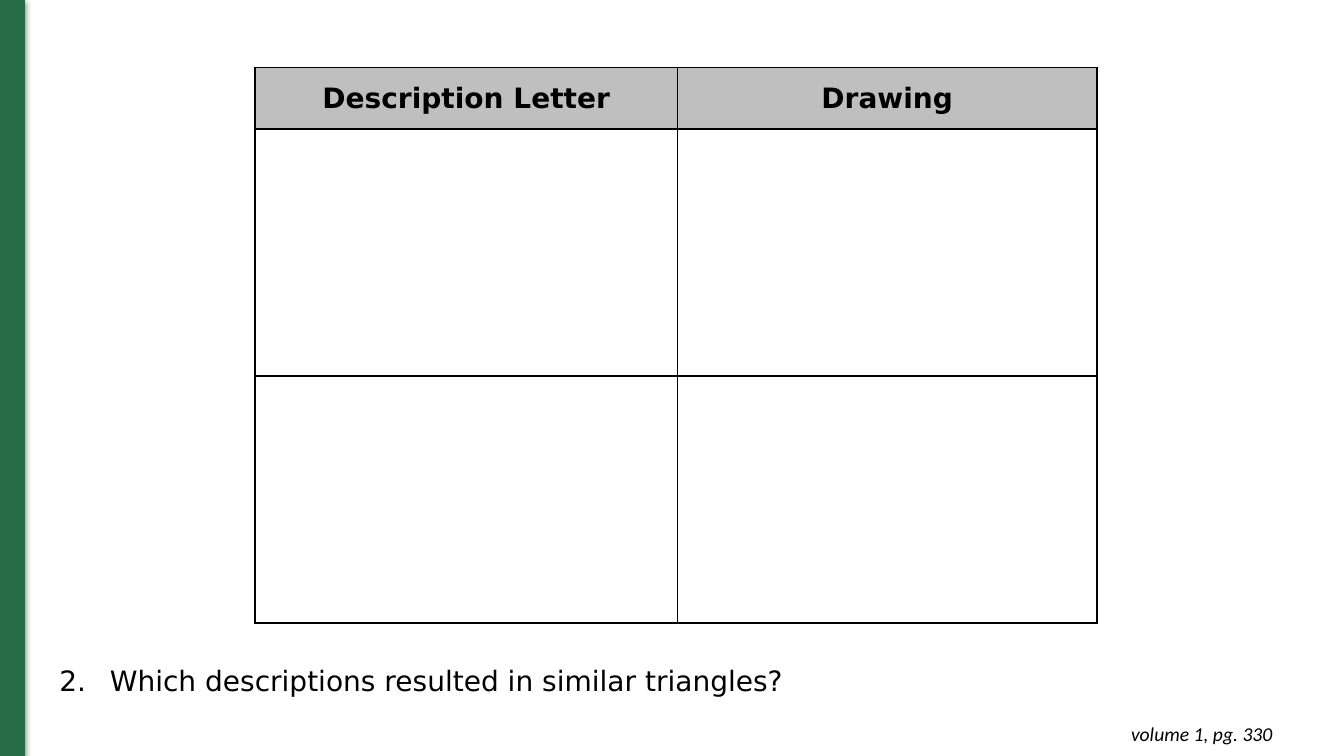
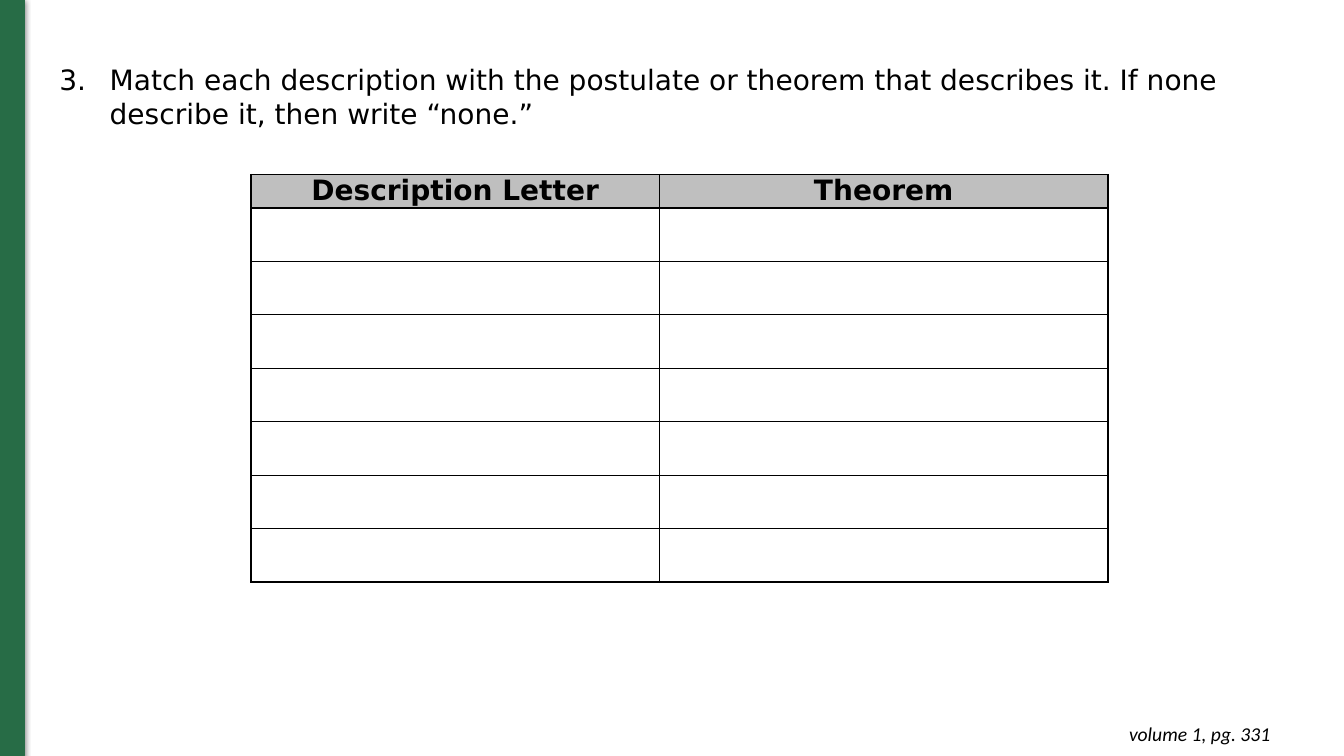
from lxml import etree
from pptx import Presentation
from pptx.dml.color import RGBColor
from pptx.enum.shapes import MSO_SHAPE
from pptx.enum.text import MSO_ANCHOR, PP_ALIGN
from pptx.oxml.ns import qn
from pptx.util import Inches, Pt

GREEN = RGBColor(0x27, 0x6C, 0x46)
BLACK = RGBColor(0x00, 0x00, 0x00)
GRAY = RGBColor(0xBF, 0xBF, 0xBF)
RECTANGLE = MSO_SHAPE.RECTANGLE
MIDDLE, TOP = MSO_ANCHOR.MIDDLE, MSO_ANCHOR.TOP
CENTER, RIGHT = PP_ALIGN.CENTER, PP_ALIGN.RIGHT
BODY_FONT = "DejaVu Sans"
QUESTION_STYLE = {"name": BODY_FONT, "size": Pt(20)}
HEADER_STYLE = {**QUESTION_STYLE, "bold": True}
FOOTER_STYLE = {"name": "Calibri", "size": Pt(14), "italic": True}
SIDES = ("left", "top", "right", "bottom")


def add_xml(parent, tag, **attributes):
    return etree.SubElement(parent, qn(tag), {key: str(value) for key, value in attributes.items()})


def add_text(paragraph, text, style):
    run = paragraph.add_run()
    run.text = text
    for name, value in style.items():
        setattr(run.font, name, value)
    run.font.color.rgb = BLACK


def set_margins(target, margins):
    for side, margin in zip(SIDES, margins):
        setattr(target, f"margin_{side}", Inches(margin))


def add_text_box(slide, box):
    frame = slide.shapes.add_textbox(*map(Inches, box)).text_frame
    frame.word_wrap = True
    return frame


def add_sidebar(slide, box):
    sidebar = slide.shapes.add_shape(RECTANGLE, *map(Inches, box))
    sidebar.fill.solid()
    sidebar.fill.fore_color.rgb = GREEN
    sidebar.line.color.rgb = GREEN
    sidebar.line.width = Pt(0.75)
    sidebar.shadow.inherit = False
    effects = sidebar._element.spPr.find(qn("a:effectLst"))
    shadow = add_xml(effects, "a:outerShdw", blurRad=Pt(4.5), dist=Pt(1.5), dir=5400000, rotWithShape=0)
    color = add_xml(shadow, "a:srgbClr", val=BLACK)
    add_xml(color, "a:alpha", val=50000)


def add_footer(slide, box, page):
    frame = add_text_box(slide, box)
    set_margins(frame, [0.1] * 4)
    paragraph = frame.paragraphs[0]
    paragraph.alignment = RIGHT
    add_text(paragraph, f"volume 1, pg. {page}", FOOTER_STYLE)


def add_question(slide, box, number, text):
    paragraph = add_text_box(slide, box).paragraphs[0]
    properties = paragraph._p.get_or_add_pPr()
    properties.set("marL", str(Inches(0.5)))
    properties.set("indent", str(Inches(-0.5)))
    add_xml(add_xml(properties, "a:buClr"), "a:srgbClr", val=BLACK)
    add_xml(properties, "a:buFont", typeface=BODY_FONT)
    add_xml(properties, "a:buAutoNum", type="arabicPeriod", startAt=number)
    add_text(paragraph, text, QUESTION_STYLE)


def add_borders(cell):
    properties = cell._tc.get_or_add_tcPr()
    for tag in ("a:lnL", "a:lnR", "a:lnT", "a:lnB"):
        line = add_xml(properties, tag, w=Pt(1))
        add_xml(add_xml(line, "a:solidFill"), "a:srgbClr", val=BLACK)


def add_answer_table(slide, position, headers, widths, heights, side_margin, anchor):
    size = sum(widths), sum(heights)
    table = slide.shapes.add_table(
        len(heights), len(widths), *map(Inches, (*position, *size))
    ).table
    table.first_row = table.horz_banding = False
    for column, width in zip(table.columns, widths):
        column.width = Inches(width)
    for row, height in zip(table.rows, heights):
        row.height = Inches(height)
    for cell in table.iter_cells():
        add_borders(cell)
        cell.fill.background()
    for cell, header in zip(table.rows[0].cells, headers):
        cell.fill.solid()
        cell.fill.fore_color.rgb = GRAY
        set_margins(cell, (side_margin, 0, side_margin, 0))
        cell.vertical_anchor = anchor
        paragraph = cell.text_frame.paragraphs[0]
        paragraph.alignment = CENTER
        add_text(paragraph, header, HEADER_STYLE)


def add_page(presentation, page, sidebar_top, footer_left):
    slide = presentation.slides.add_slide(presentation.slide_layouts[6])
    add_sidebar(slide, (0, sidebar_top, 0.24, 7.51))
    add_footer(slide, (footer_left, 7.06, 2.88, 0.44), page)
    return slide


def add_drawing_slide(presentation):
    slide = add_page(presentation, 330, 0, 9.84)
    add_question(slide, (0.49, 6.53, 10.81, 0.44), 2,
                 "Which descriptions resulted in similar triangles?")
    add_answer_table(slide, (2.53, 0.67), ("Description Letter", "Drawing"),
                     (4.19, 4.16), [0.61] + [2.45] * 2, 0.04, MIDDLE)


def add_theorem_slide(presentation):
    slide = add_page(presentation, 331, -0.01, 9.82)
    add_question(slide, (0.49, 0.57, 12.54, 0.77), 3,
                 "Match each description with the postulate or theorem that describes it. "
                 "If none describe it, then write “none.”")
    add_answer_table(slide, (2.49, 1.73), ("Description Letter", "Theorem"),
                     (4.05, 4.45), [0.33] + [0.53] * 7, 0.07, TOP)


def main():
    presentation = Presentation()
    presentation.slide_width = Inches(13.33)
    presentation.slide_height = Inches(7.5)
    add_drawing_slide(presentation)
    add_theorem_slide(presentation)
    presentation.save("out.pptx")


if __name__ == "__main__":
    main()
